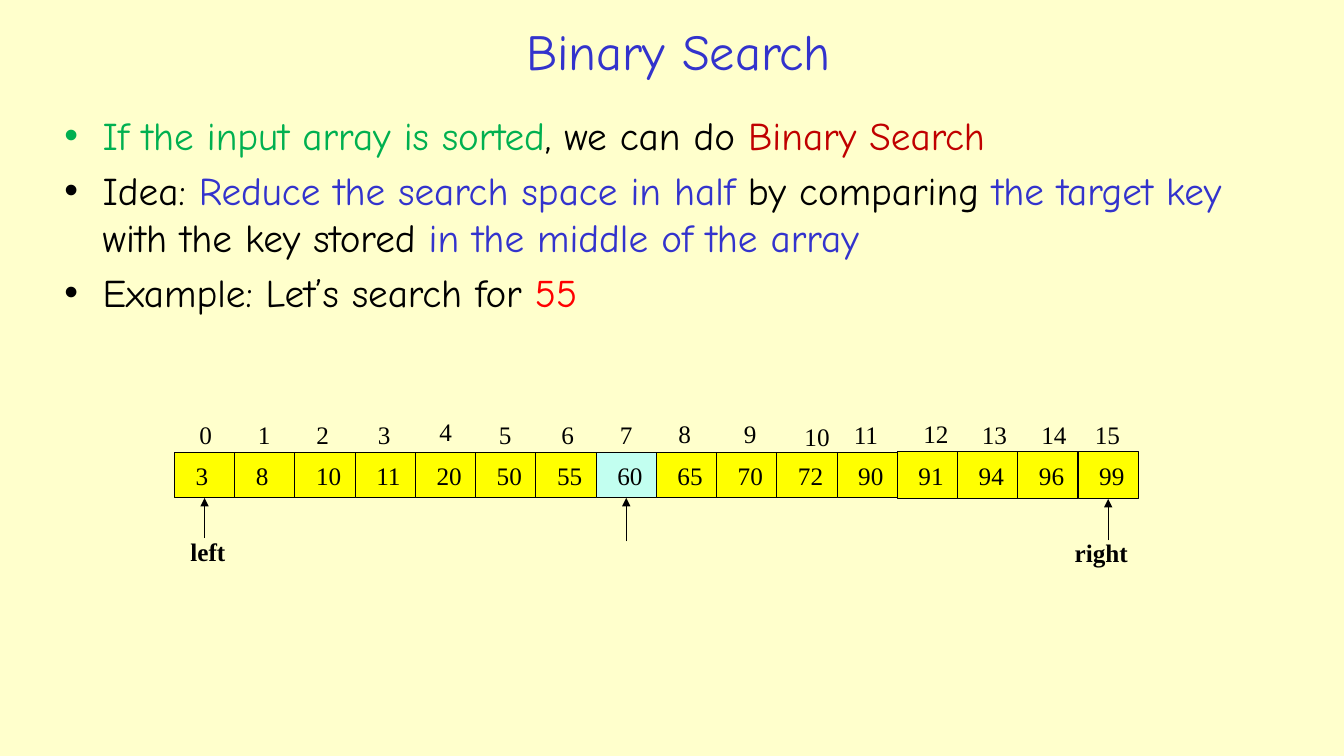
import pptx
import pptx.dml.color
import pptx.enum.shapes
import pptx.enum.text
import pptx.oxml
import pptx.oxml.ns
import pptx.util
from pptx.util import Inches

HAND_FONT, SERIF_FONT = "Comic Neue", "Times New Roman"
BLACK, BLUE, GREEN, DARK_RED, RED = "000000", "3333CC", "00B050", "C00000", "FF0000"
YELLOW, AQUA, CREAM = "FFFF00", "C2FFF0", "FFFFCC"

BULLETS = [
    [("If the input array is sorted", GREEN), (", we can do ", BLACK), ("Binary Search", DARK_RED)],
    [("Idea: ", BLACK), ("Reduce the search space in half", BLUE), (" by comparing", BLACK),
     (" the target key ", BLUE), ("with the key stored ", BLACK),
     ("in the middle of the array", BLUE)],
    [("Example: Let’s search for ", BLACK), ("55", RED)],
]
VALUES = [3, 8, 10, 11, 20, 50, 55, 60, 65, 70, 72, 90, 91, 94, 96, 99]
MIDDLE = 7
# Left and top of each index label, measured from the array's top left corner
INDEX_PLACES = [
    (0.15, -0.38), (0.73, -0.38), (1.31, -0.38), (1.92, -0.38),
    (2.53, -0.41), (3.12, -0.38), (3.74, -0.38), (4.32, -0.38),
    (4.9, -0.39), (5.55, -0.39), (6.15, -0.36), (6.64, -0.38),
    (7.33, -0.39), (7.91, -0.38), (8.5, -0.38), (9.03, -0.38),
]


def color(hex_text):
    return pptx.dml.color.RGBColor.from_string(hex_text)


def add_span(para, text, size, font, hex_text, bold=False):
    span = para.add_run()
    span.text = text
    span.font.size = pptx.util.Pt(size)
    span.font.name = font
    span.font.bold = bold
    span.font.color.rgb = color(hex_text)


def add_box(page, left, top, width, height, wrap=True):
    box = page.shapes.add_textbox(Inches(left), Inches(top), Inches(width), Inches(height))
    box.text_frame.word_wrap = wrap
    return box


def add_label(page, left, top, width, text, bold=False):
    box = add_box(page, left, top, width, 0.4, wrap=False)
    add_span(box.text_frame.paragraphs[0], text, 18, SERIF_FONT, BLACK, bold)


def add_title(page, left, top, width, height):
    frame = add_box(page, left, top, width, height).text_frame
    frame.vertical_anchor = pptx.enum.text.MSO_ANCHOR.MIDDLE
    para = frame.paragraphs[0]
    para.alignment = pptx.enum.text.PP_ALIGN.CENTER
    add_span(para, "Binary Search", 36, HAND_FONT, BLUE)


def add_bullets(page, left, top, width, height):
    frame = add_box(page, left, top, width, height).text_frame
    for number, spans in enumerate(BULLETS):
        para = frame.add_paragraph() if number else frame.paragraphs[0]
        properties = para._p.get_or_add_pPr()
        properties.set("marL", str(Inches(0.38)))
        properties.set("indent", str(-Inches(0.38)))
        namespace = pptx.oxml.ns.nsdecls("a")
        properties.append(pptx.oxml.parse_xml(f'<a:buFont {namespace} typeface="Arial"/>'))
        properties.append(pptx.oxml.parse_xml(f'<a:buChar {namespace} char="•"/>'))
        if number:
            para.space_before = pptx.util.Pt(5.6)
        for text, hex_text in spans:
            add_span(para, text, 28, HAND_FONT, hex_text)


def add_cell(page, left, top, width, height, value, fill):
    cell = page.shapes.add_shape(pptx.enum.shapes.MSO_SHAPE.RECTANGLE, Inches(left),
                                 Inches(top), Inches(width), Inches(height))
    cell.shadow.inherit = False
    cell.fill.solid()
    cell.fill.fore_color.rgb = color(fill)
    cell.line.color.rgb = color(BLACK)
    cell.line.width = pptx.util.Pt(0.75)
    frame = cell.text_frame
    frame.word_wrap = False
    frame.margin_left, frame.margin_right = Inches(0.21), 0
    frame.vertical_anchor = pptx.enum.text.MSO_ANCHOR.MIDDLE
    para = frame.paragraphs[0]
    para.alignment = pptx.enum.text.PP_ALIGN.LEFT
    add_span(para, str(value), 18, SERIF_FONT, BLACK)
    return cell


def add_array(page, left, top, width, height):
    """Draw the indexed cells and return them."""
    step = width / len(VALUES)
    cells = []
    for index, value in enumerate(VALUES):
        rise = 0.01 if index >= 12 else 0  # the last four cells are slightly taller
        fill = AQUA if index == MIDDLE else YELLOW
        cells.append(add_cell(page, left + index * step, top - rise, step,
                              height + 2 * rise, value, fill))
        label_left, label_top = INDEX_PLACES[index]
        add_label(page, left + label_left, top + label_top,
                  0.33 if index < 10 else 0.45, str(index))
    return cells


def add_pointer(page, cell, tail_y):
    """Draw an arrow that rises to the bottom of a cell."""
    center = cell.left + cell.width // 2
    arrow = page.shapes.add_connector(pptx.enum.shapes.MSO_CONNECTOR.STRAIGHT, center,
                                      Inches(tail_y), center, cell.top + cell.height)
    arrow.end_connect(cell, 2)
    arrow.line.color.rgb = color(BLACK)
    arrow.line.width = pptx.util.Pt(0.75)
    namespace = pptx.oxml.ns.nsdecls("a")
    arrow.line._get_or_add_ln().append(
        pptx.oxml.parse_xml(f'<a:tailEnd {namespace} type="triangle"/>'))
    arrow._element.spPr.append(pptx.oxml.parse_xml(f"<a:effectLst {namespace}/>"))


def main():
    deck = pptx.Presentation()
    deck.slide_width, deck.slide_height = Inches(13.33), Inches(7.5)
    page = deck.slides.add_slide(deck.slide_layouts[6])
    page.background.fill.solid()
    page.background.fill.fore_color.rgb = color(CREAM)

    # Heading and explanation
    add_title(page, 2.25, 0.16, 8.96, 0.67)
    add_bullets(page, 0.54, 1.06, 12.4, 2.47)

    # Array with its search pointers
    cells = add_array(page, 1.73, 4.49, 9.56, 0.45)
    for index, tail_y in ((0, 5.34), (MIDDLE, 5.37), (-1, 5.36)):
        add_pointer(page, cells[index], tail_y)
    add_label(page, 1.79, 5.27, 0.55, "left", bold=True)
    add_label(page, 10.56, 5.28, 0.73, "right", bold=True)

    deck.save("out.pptx")


if __name__ == "__main__":
    main()
